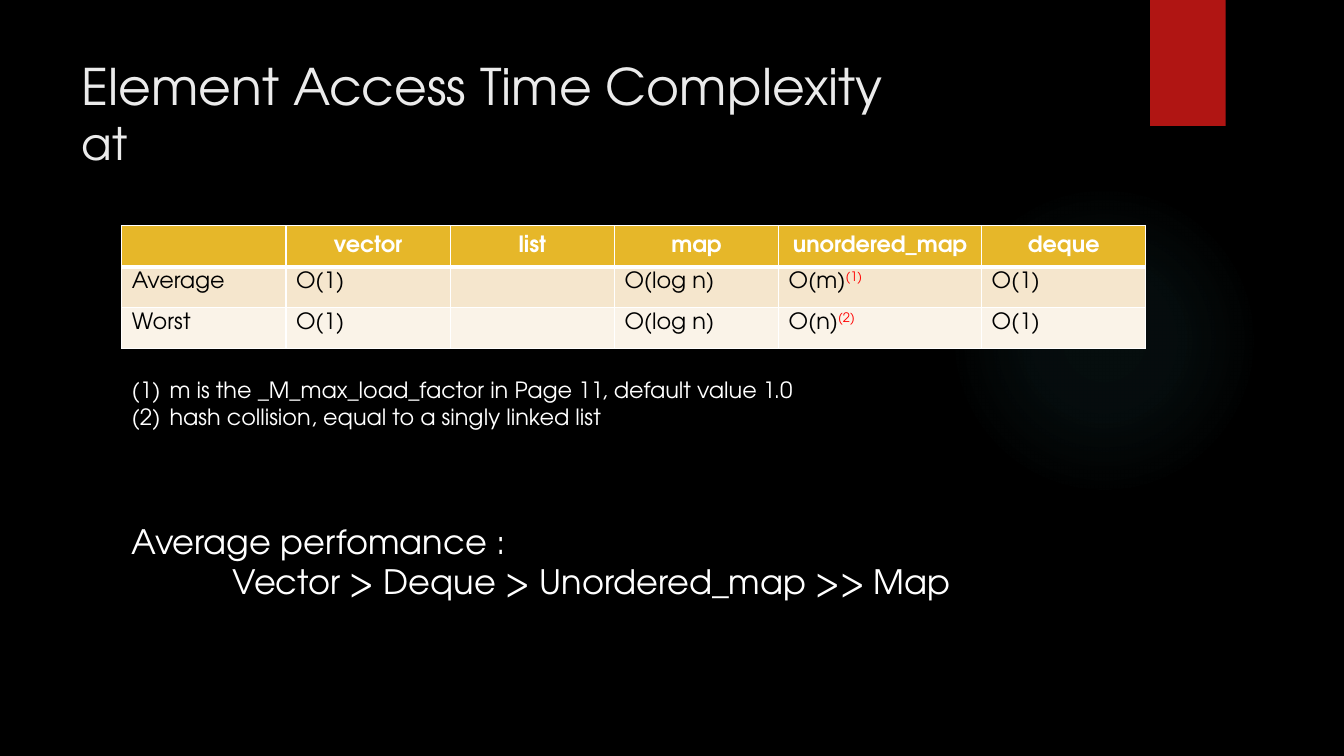
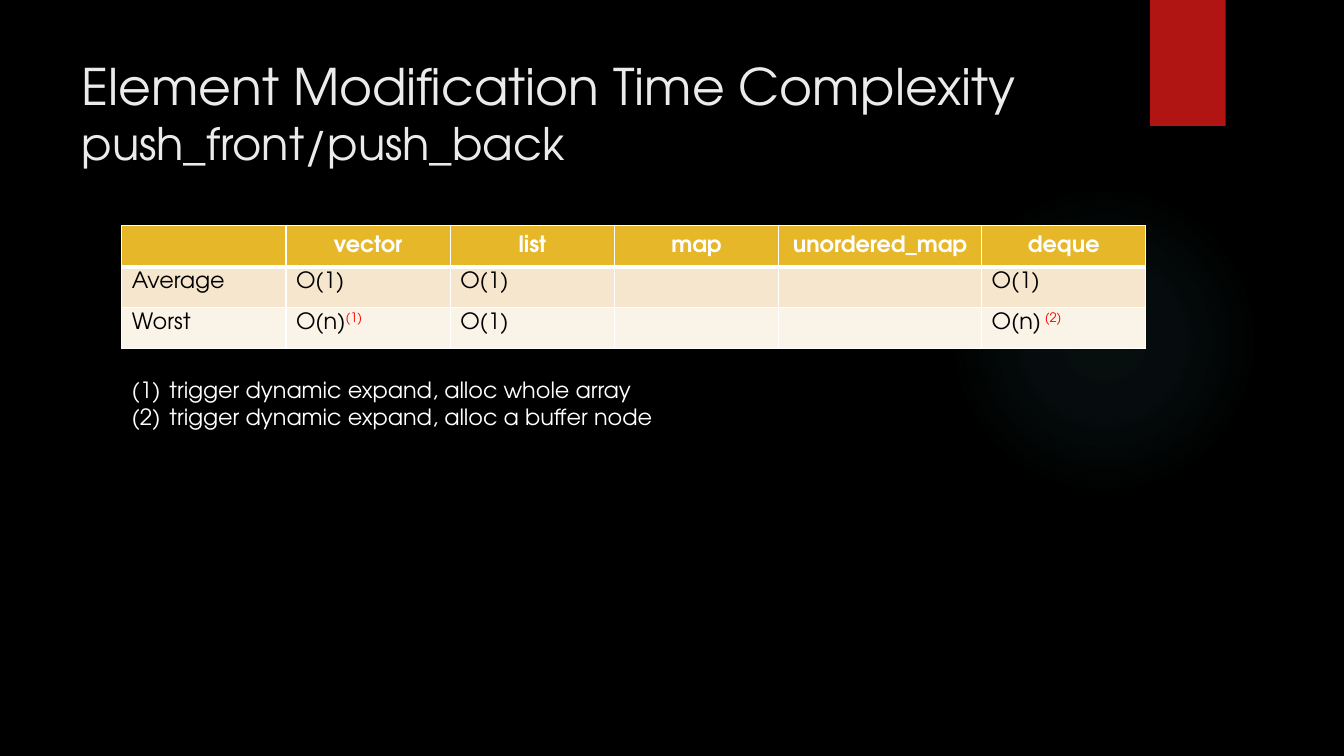
from dataclasses import dataclass

from lxml import etree
from pptx import Presentation
from pptx import util as u
from pptx.dml import color
from pptx.enum import shapes, text
from pptx.oxml import ns, parse_xml


@dataclass(frozen=True)
class Theme:
    font: str = "TeX Gyre Adventor"
    background: str = "000000"
    glow: str = "50B9C1"
    band: str = "B01513"
    title: str = "EBEBEB"
    light: str = "FFFFFF"
    dark: str = "000000"
    mark: str = "FF0000"
    rows: tuple = ("E6B729", "F5E6CD", "FAF3E8")
    title_size: int = 36
    subtitle_size: int = 32
    summary_size: int = 24
    body_size: int = 16


THEME = Theme()


def rgb(value):
    return color.RGBColor.from_string(value)


def write(para, words, size=THEME.body_size, fill=THEME.light, bold=False, raised=False):
    span = para.add_run()
    span.text = words
    span.font.name = THEME.font
    span.font.size = u.Pt(size)
    span.font.bold = bold
    span.font.color.rgb = rgb(fill)
    if raised:
        span._r.get_or_add_rPr().set("baseline", "30000")
    return span


HEADINGS = ["", "vector", "list", "map", "unordered_map", "deque"]
WIDTHS = [117.3, 117.3, 117.3, 117.3, 145, 117.3]
ROW_HEIGHT = 29.25
CONTENT = [
    {
        "title": "Element Access Time Complexity",
        "subtitle": "at",
        "rows": [
            ["Average", "O(1)", "", "O(log n)", "O(m)|(1)", "O(1)"],
            ["Worst", "O(1)", "", "O(log n)", "O(n)|(2)", "O(1)"],
        ],
        "notes": [
            "m is the _M_max_load_factor in Page 11, default value 1.0",
            "hash collision, equal to a singly linked list",
        ],
        "summary": ["Average perfomance :", "Vector > Deque > Unordered_map >> Map"],
        "notes_size": (603, 170),
    },
    {
        "title": "Element Modification Time Complexity",
        "subtitle": "push_front/push_back",
        "rows": [
            ["Average", "O(1)", "O(1)", "", "", "O(1)"],
            ["Worst", "O(n)|(1)", "O(1)", "", "", "O(n)| (2)"],
        ],
        "notes": [
            "trigger dynamic expand, alloc whole array",
            "trigger dynamic expand, alloc a buffer node",
        ],
        "summary": [],
        "notes_size": (393, 68),
    },
]

deck = Presentation()
deck.slide_width, deck.slide_height = u.Pt(960), u.Pt(540)
backdrop = deck.slide_master.background.fill
backdrop.solid()
backdrop.fore_color.rgb = rgb(THEME.background)

layout = deck.slide_layouts[5]
for holder in list(layout.placeholders):
    if holder.placeholder_format.idx == 0:
        holder.left, holder.top = u.Pt(51), u.Pt(36)
        holder.width, holder.height = u.Pt(741), u.Pt(110)
    else:
        layout.shapes.element.remove(holder.element)

pages = [deck.slides.add_slide(layout) for content in CONTENT]

glow = pages[0].shapes.add_shape(
    shapes.MSO_SHAPE.OVAL, u.Pt(677.5), u.Pt(132), u.Pt(222), u.Pt(222))
band = pages[0].shapes.add_shape(
    shapes.MSO_SHAPE.RECTANGLE, u.Pt(821.5), 0, u.Pt(54), u.Pt(90))
for position, shape in enumerate((glow, band), 2):
    shape.shadow.inherit = False
    shape.line.fill.background()
    layout.shapes.element.insert(position, shape.element)

stops = "".join(
    f'<a:gs pos="{place * 1000}"><a:srgbClr val="{THEME.glow}">'
    f'<a:alpha val="{alpha * 1000}"/></a:srgbClr></a:gs>'
    for place, alpha in ((0, 7), (36, 6), (69, 0)))
glow.fill.background()
glow_props = glow.element.spPr
glow_props.replace(glow_props.find(ns.qn("a:noFill")), parse_xml(
    f'<a:gradFill {ns.nsdecls("a")}><a:gsLst>{stops}</a:gsLst><a:path path="circle">'
    '<a:fillToRect l="50000" t="50000" r="50000" b="50000"/></a:path></a:gradFill>'))

band.fill.solid()
band.fill.fore_color.rgb = rgb(THEME.band)
band.element.spPr.find(ns.qn("a:effectLst")).append(parse_xml(
    f'<a:outerShdw {ns.nsdecls("a")} blurRad="{u.Pt(3)}" dist="{u.Pt(2)}" dir="5400000">'
    '<a:srgbClr val="000000"><a:alpha val="45000"/></a:srgbClr></a:outerShdw>'))

for page, content in zip(pages, CONTENT):
    frame = page.shapes.title.text_frame
    frame.auto_size = text.MSO_AUTO_SIZE.NONE
    frame.word_wrap = True
    frame.vertical_anchor = text.MSO_ANCHOR.TOP
    para = frame.paragraphs[0]
    para.alignment = text.PP_ALIGN.LEFT
    write(para, content["title"], size=THEME.title_size, fill=THEME.title)
    para.add_line_break()
    write(para, content["subtitle"], size=THEME.subtitle_size, fill=THEME.title)

    rows = [HEADINGS] + content["rows"]
    table = page.shapes.add_table(
        len(rows), len(HEADINGS), u.Pt(87), u.Pt(161.3),
        u.Pt(sum(WIDTHS)), u.Pt(ROW_HEIGHT * len(rows))).table
    for column, width in zip(table.columns, WIDTHS):
        column.width = u.Pt(width)
    for row_number, row in enumerate(rows):
        table.rows[row_number].height = u.Pt(ROW_HEIGHT)
        is_header = row_number == 0
        for column_number, entry in enumerate(row):
            cell = table.cell(row_number, column_number)
            cell.fill.solid()
            cell.fill.fore_color.rgb = rgb(THEME.rows[row_number])
            edges = {"L": 1, "R": 1, "T": 3 if row_number == 1 else 1, "B": 3 if is_header else 1}
            for position, (side, weight) in enumerate(edges.items()):
                cell._tc.get_or_add_tcPr().insert(position, parse_xml(
                    f'<a:ln{side} {ns.nsdecls("a")} w="{u.Pt(weight)}"><a:solidFill>'
                    f'<a:srgbClr val="{THEME.light}"/></a:solidFill></a:ln{side}>'))
            para = cell.text_frame.paragraphs[0]
            if is_header:
                cell.vertical_anchor = text.MSO_ANCHOR.MIDDLE
                para.alignment = text.PP_ALIGN.CENTER
            value, _, mark = entry.partition("|")
            if value:
                write(para, value, fill=THEME.light if is_header else THEME.dark, bold=is_header)
            if mark:
                write(para, mark, fill=THEME.mark, raised=True)

    width, height = content["notes_size"]
    box = page.shapes.add_textbox(u.Pt(87), u.Pt(265), u.Pt(width), u.Pt(height))
    frame = box.text_frame
    frame.word_wrap = True
    frame.auto_size = text.MSO_AUTO_SIZE.SHAPE_TO_FIT_TEXT
    for number, note in enumerate(content["notes"]):
        para = frame.add_paragraph() if number else frame.paragraphs[0]
        props = para._p.get_or_add_pPr()
        props.set("marL", str(u.Pt(27)))
        props.set("indent", str(-u.Pt(27)))
        etree.SubElement(props, ns.qn("a:buFont"), typeface="+mj-lt")
        etree.SubElement(props, ns.qn("a:buAutoNum"), type="arabicParenBoth")
        write(para, note)
    for number, line in enumerate(content["summary"]):
        para = frame.add_paragraph()
        if number:
            para._p.get_or_add_pPr().set("marL", str(u.Pt(72)))
        else:
            para.space_before = u.Pt(65)
        write(para, line, size=THEME.summary_size)

deck.save("out.pptx")
